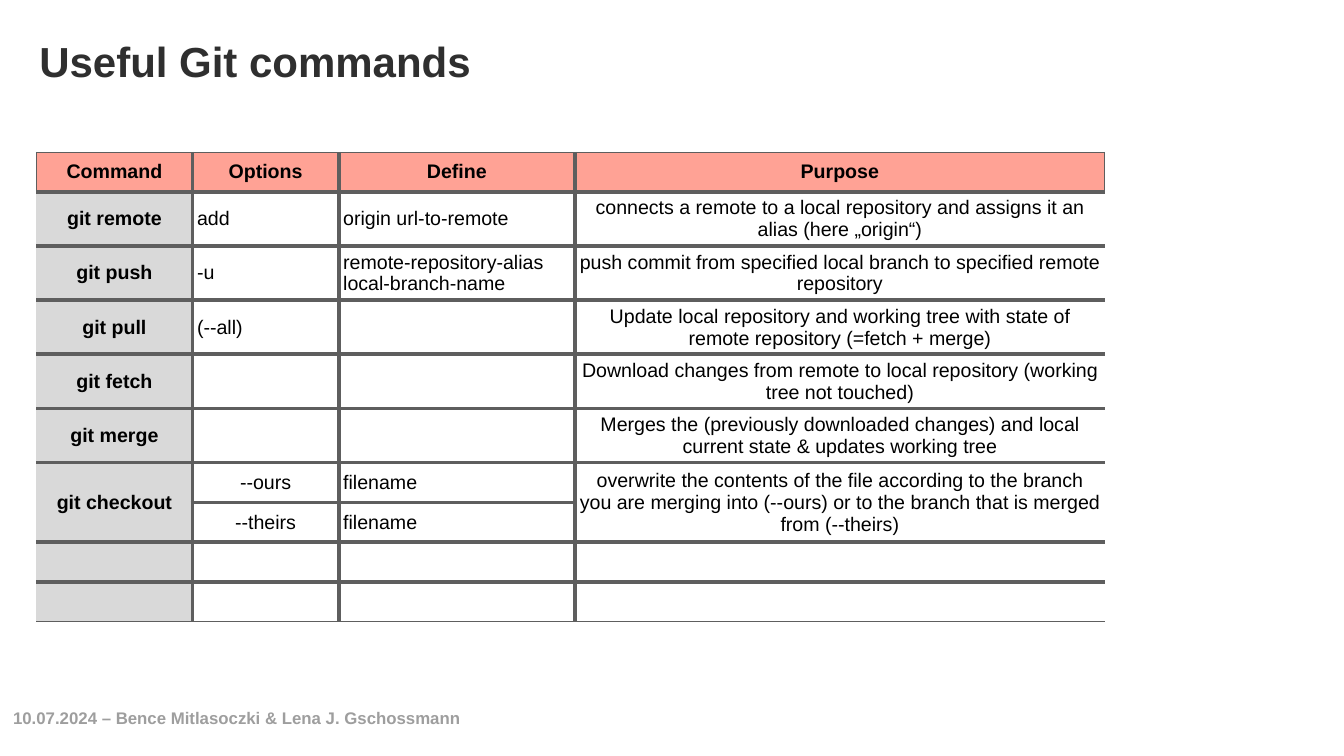
from lxml import etree
from pptx import Presentation
from pptx.dml.color import RGBColor
from pptx.enum.text import MSO_ANCHOR, PP_ALIGN
from pptx.oxml.ns import qn
from pptx.util import Pt

PX = 9144
FONT = "Arial"
MIDDLE, TOP = MSO_ANCHOR.MIDDLE, MSO_ANCHOR.TOP
LEFT, CENTER = PP_ALIGN.LEFT, PP_ALIGN.CENTER
BLACK, WHITE, LINE = "000000", "FFFFFF", "5E5E5E"
HEADER_FILL, COMMAND_FILL = "FFA295", "D9D9D9"
THICK, THIN = 6, 1
COLUMN_WIDTHS = (310, 290, 469, 1051)
ROW_HEIGHT = 79
CELL_MARGINS = (9, 7, 9, 7)
CHECKOUT_ROW = 6
ROWS = [
    ("Command", "Options", "Define", "Purpose"),
    ("git remote", "add", "origin url-to-remote",
     "connects a remote to a local repository and assigns it an alias (here „origin“)"),
    ("git push", "-u", "remote-repository-alias local-branch-name",
     "push commit from specified local branch to specified remote repository"),
    ("git pull", "(--all)", "",
     "Update local repository and working tree with state of remote repository (=fetch + merge)"),
    ("git fetch", "", "",
     "Download changes from remote to local repository (working tree not touched)"),
    ("git merge", "", "",
     "Merges the (previously downloaded changes) and local current state & updates working tree"),
    ("git checkout", "--ours", "filename",
     "overwrite the contents of the file according to the branch you are merging into "
     "(--ours) or to the branch that is merged from (--theirs)"),
    ("", "--theirs", "filename", ""),
    ("", "", "", ""),
    ("", "", "", ""),
]


def px(length):
    """Turn a length in px into EMU."""
    return int(length * PX)


def color(value):
    """Turn a hex string into a colour."""
    return RGBColor.from_string(value)


def set_margins(target, margins):
    """Set the left, top, right and bottom margins of a frame or cell."""
    for side, margin in zip(("left", "top", "right", "bottom"), margins):
        setattr(target, f"margin_{side}", px(margin))


def write(text_frame, text, size, hex_color, bold, align):
    """Fill a text frame with one formatted paragraph."""
    text_frame.text = text
    paragraph = text_frame.paragraphs[0]
    paragraph.alignment = align
    for run in paragraph.runs:
        run.font.name = FONT
        run.font.size = Pt(size)
        run.font.bold = bold
        run.font.color.rgb = color(hex_color)


def add_label(slide, box, text, size, hex_color, anchor, inset):
    """Add a bold, left-aligned line of text in a box."""
    text_frame = slide.shapes.add_textbox(*map(px, box)).text_frame
    text_frame.word_wrap = True
    text_frame.vertical_anchor = anchor
    set_margins(text_frame, (inset,) * 4)
    write(text_frame, text, size, hex_color, True, LEFT)


def set_borders(cell, widths):
    """Draw the left, right, top and bottom borders; width 0 means none."""
    properties = cell._tc.get_or_add_tcPr()
    for index, (side, width) in enumerate(zip("LRTB", widths)):
        border = etree.Element(qn(f"a:ln{side}"), w=str(Pt(width)))
        if width:
            fill = etree.SubElement(border, qn("a:solidFill"))
            etree.SubElement(fill, qn("a:srgbClr"), val=LINE)
        else:
            etree.SubElement(border, qn("a:noFill"))
        properties.insert(index, border)


def format_cell(cell, text, row, column):
    """Write and style one cell by its place in the table."""
    is_header, is_command = row == 0, column == 0
    last_row, last_column = len(ROWS) - 1, len(COLUMN_WIDTHS) - 1
    centered = is_header or column in (0, last_column) or text in ("--ours", "--theirs")
    write(cell.text_frame, text, 28, BLACK, is_header or is_command,
          CENTER if centered else LEFT)
    cell.vertical_anchor = MIDDLE
    set_margins(cell, CELL_MARGINS)
    cell.fill.solid()
    cell.fill.fore_color.rgb = color(
        HEADER_FILL if is_header else COMMAND_FILL if is_command else WHITE)
    outer = THIN if is_header else 0
    set_borders(cell, (
        outer if is_command else THICK,
        outer if column == last_column else THICK,
        THIN if is_header else THICK,
        THIN if row == last_row else THICK,
    ))


def add_command_table(slide, left, top):
    """Add the table of Git commands at the given corner."""
    size = (sum(COLUMN_WIDTHS), ROW_HEIGHT * len(ROWS))
    table = slide.shapes.add_table(
        len(ROWS), len(COLUMN_WIDTHS), *map(px, (left, top, *size))).table
    table.first_row = False
    table.horz_banding = False
    for column, width in zip(table.columns, COLUMN_WIDTHS):
        column.width = px(width)
    for row, texts in enumerate(ROWS):
        table.rows[row].height = px(ROW_HEIGHT)
        for column, text in enumerate(texts):
            format_cell(table.cell(row, column), text, row, column)
    for column in (0, len(COLUMN_WIDTHS) - 1):
        table.cell(CHECKOUT_ROW, column).merge(table.cell(CHECKOUT_ROW + 1, column))


def main():
    """Build the slide and save it."""
    presentation = Presentation()
    presentation.slide_width, presentation.slide_height = px(2667), px(1500)
    slide = presentation.slides.add_slide(presentation.slide_layouts[6])
    add_label(slide, (21, 1400, 2403, 70),
              "10.07.2024 – Bence Mitlasoczki & Lena J. Gschossmann", 24, "9E9E9E", TOP, 5)
    add_label(slide, (72, 65, 1215, 112), "Useful Git commands", 60, "2F2F2F", MIDDLE, 6)
    add_command_table(slide, 72, 302)
    presentation.save("out.pptx")


if __name__ == "__main__":
    main()
